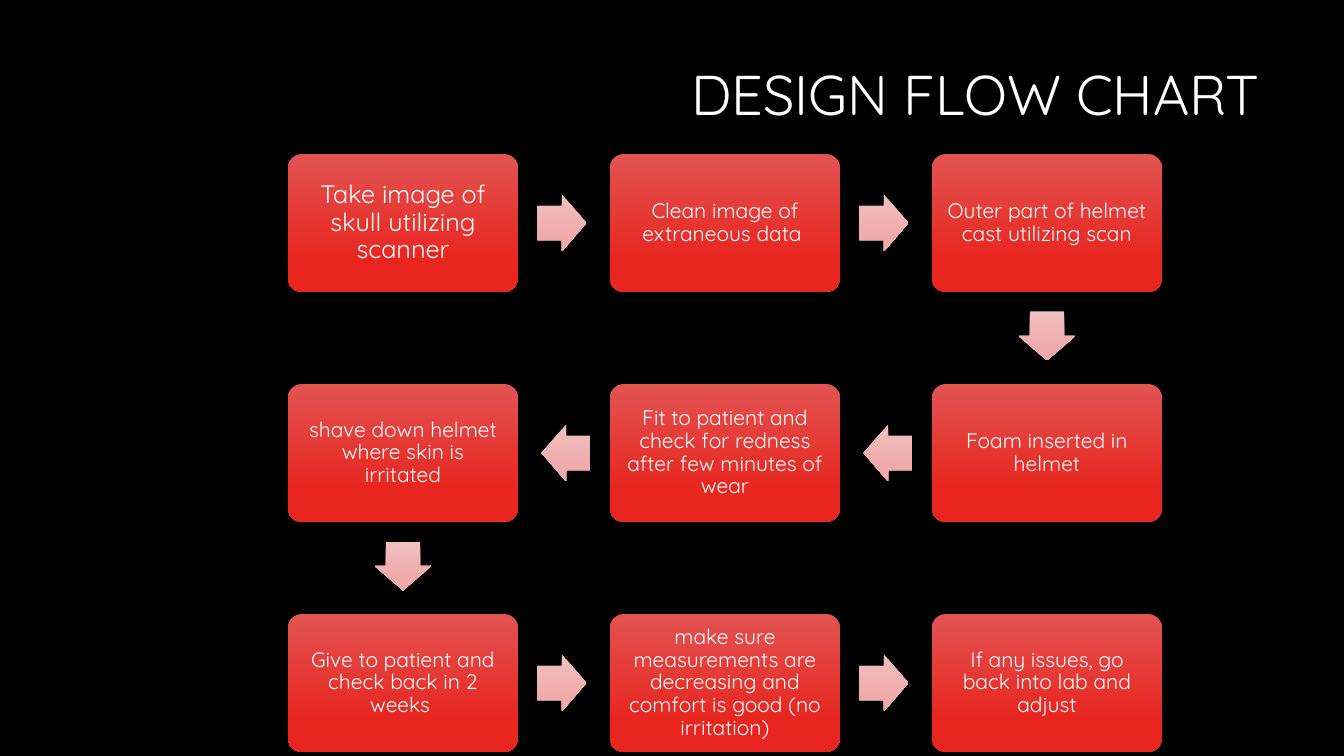
from pptx import Presentation
from pptx.dml.color import RGBColor
from pptx.enum import shapes, text
from pptx.oxml import ns
from pptx.util import Emu, Pt

PX = 12192000 / 1344
FONT = "Quicksand"
COLORS = {
    "background": "000000",
    "text": "FFFFFF",
    "step_top": "E25452",
    "step_bottom": "E8251F",
    "arrow_top": "F0BFBF",
    "arrow_bottom": "F0AAAA",
}

# Grid of steps, in px
LEFT, TOP = 288, 154
STEP_W, STEP_H = 230, 138
PITCH_X, PITCH_Y = 322, 230
COLUMNS = 3
ARROW_W, ARROW_H = 49, 57
ARROW_SETBACK = 2

# Steps in reading order of the flow: wording, text size, margin in px
STEPS = [
    ("Take image of skull utilizing scanner", 18, 11),
    ("Clean image of extraneous data ", 15, 10),
    ("Outer part of helmet cast utilizing scan", 15, 10),
    ("Foam inserted in helmet", 15, 10),
    ("Fit to patient and check for redness after few minutes of wear", 15, 10),
    ("shave down helmet where skin is irritated", 15, 10),
    ("Give to patient and check back in 2 weeks ", 15, 10),
    ("make sure measurements are decreasing and comfort is good (no irritation)", 15, 10),
    ("If any issues, go back into lab and adjust", 15, 10),
]


def px(length):
    return Emu(round(length * PX))


def color(name):
    return RGBColor.from_string(COLORS[name])


def write(frame, wording, size, align):
    frame.word_wrap = True
    frame.auto_size = text.MSO_AUTO_SIZE.NONE
    frame.vertical_anchor = text.MSO_ANCHOR.MIDDLE
    paragraph = frame.paragraphs[0]
    paragraph.alignment = align
    paragraph.line_spacing = 0.9
    run = paragraph.add_run()
    run.text = wording
    run.font.name = FONT
    run.font.size = Pt(size)
    run.font.color.rgb = color("text")


def add_gradient_shape(slide, preset, left, top, width, height, kind):
    shape = slide.shapes.add_shape(preset, px(left), px(top), px(width), px(height))
    shape.shadow.inherit = False
    shape.line.fill.background()
    shape.fill.gradient()
    shape.fill.gradient_angle = 270
    start, end = shape.fill.gradient_stops
    start.position, end.position = 0, 0.78
    start.color.rgb = color(kind + "_top")
    end.color.rgb = color(kind + "_bottom")
    # Keep the light side up when the shape is turned
    shape.element.spPr.find(ns.qn("a:gradFill")).set("rotWithShape", "0")
    return shape


def step_center(index):
    """Steps wind through the grid, every second row running leftwards."""
    row, column = divmod(index, COLUMNS)
    if row % 2:
        column = COLUMNS - 1 - column
    return (LEFT + column * PITCH_X + STEP_W // 2,
            TOP + row * PITCH_Y + STEP_H // 2)


def add_step(slide, center, wording, size, margin):
    x, y = center
    step = add_gradient_shape(slide, shapes.MSO_SHAPE.ROUNDED_RECTANGLE,
                              x - STEP_W // 2, y - STEP_H // 2, STEP_W, STEP_H, "step")
    step.adjustments[0] = 0.1
    frame = step.text_frame
    frame.margin_left = frame.margin_right = px(margin)
    frame.margin_top = frame.margin_bottom = px(margin)
    write(frame, wording, size, text.PP_ALIGN.CENTER)


def add_arrow(slide, start, end):
    (x1, y1), (x2, y2) = start, end
    if y2 > y1:
        rotation, dx, dy = 90, 0, 1
    elif x2 < x1:
        rotation, dx, dy = 180, -1, 0
    else:
        rotation, dx, dy = 0, 1, 0
    x = (x1 + x2) // 2 - ARROW_SETBACK * dx
    y = (y1 + y2) // 2 - ARROW_SETBACK * dy
    arrow = add_gradient_shape(slide, shapes.MSO_SHAPE.RIGHT_ARROW,
                               x - ARROW_W / 2, y - ARROW_H / 2,
                               ARROW_W, ARROW_H, "arrow")
    arrow.adjustments[0], arrow.adjustments[1] = 0.6, 0.5
    arrow.rotation = rotation


def add_title(slide, wording):
    title = slide.shapes.title
    title.left, title.top = px(320), px(26)
    title.width, title.height = px(950), px(142)
    write(title.text_frame, wording, 40, text.PP_ALIGN.RIGHT)


def main():
    deck = Presentation()
    deck.slide_width, deck.slide_height = px(1344), px(756)
    slide = deck.slides.add_slide(deck.slide_layouts[5])
    slide.background.fill.solid()
    slide.background.fill.fore_color.rgb = color("background")

    add_title(slide, "DESIGN FLOW CHART")

    # Steps, each followed by the arrow to the next one
    for index, (wording, size, margin) in enumerate(STEPS):
        add_step(slide, step_center(index), wording, size, margin)
        if index + 1 < len(STEPS):
            add_arrow(slide, step_center(index), step_center(index + 1))

    deck.save("out.pptx")


if __name__ == "__main__":
    main()
